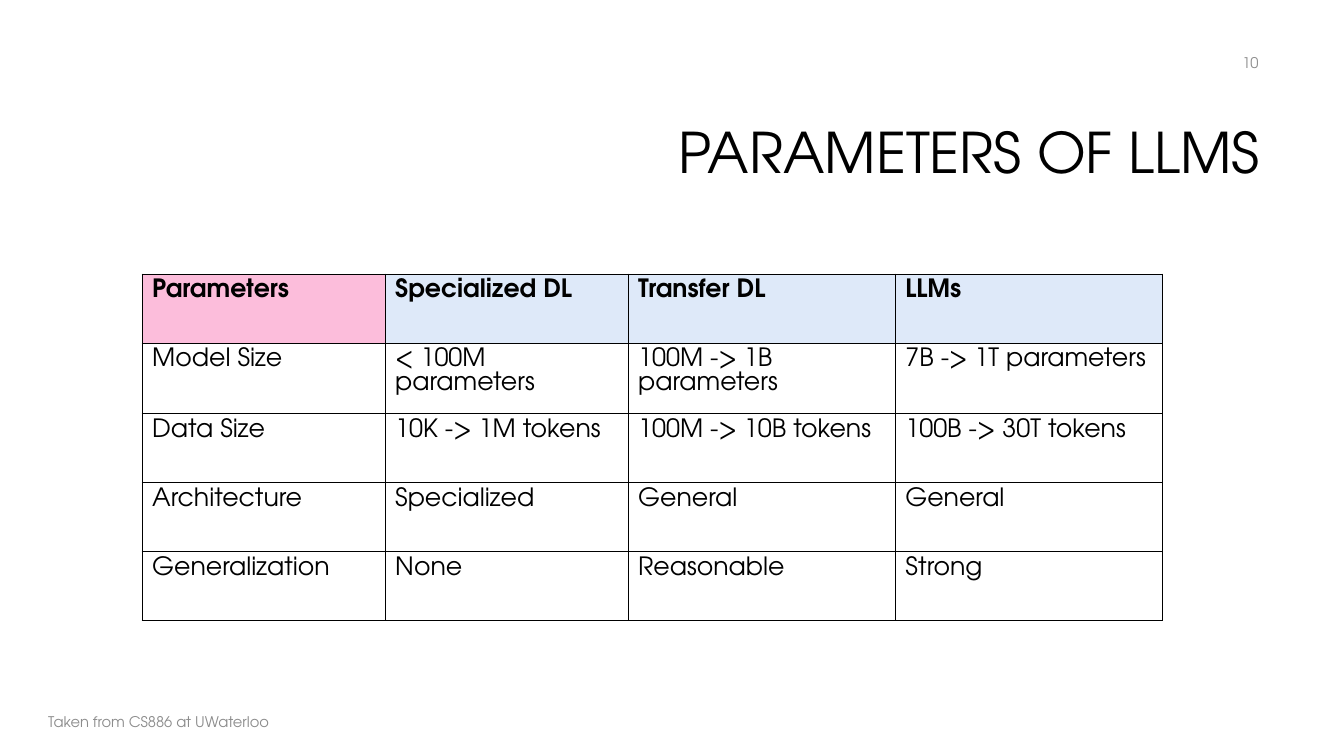
"""Build the slide comparing parameters of LLMs with earlier deep learning."""
from lxml.etree import SubElement
from pptx import Presentation
from pptx.dml.color import RGBColor
from pptx.enum.text import MSO_ANCHOR, PP_ALIGN
from pptx.oxml.ns import qn
from pptx.util import Inches, Pt

FONT = "TeX Gyre Adventor"
COLORS = {"text": "000000", "muted": "8C8C8C", "corner": "FCBDDB",
          "header": "DEE9F9", "body": "FFFFFF", "border": "000000"}
TEXTS = [
    ("PARAMETERS OF LLMS", (3.17, 0.84, 9.42, 1.41), 40, "text", PP_ALIGN.RIGHT, 0.9),
    ("10", (9.58, 0.42, 3, 0.4), 10.5, "muted", PP_ALIGN.RIGHT, 1.0),
    ("Taken from CS886 at UWaterloo", (0.38, 6.96, 4.5, 0.4), 10.5, "muted", PP_ALIGN.LEFT, 1.0),
]
ROWS = [
    ("Parameters", "Specialized DL", "Transfer DL", "LLMs"),
    ("Model Size", "< 100M parameters", "100M -> 1B parameters", "7B -> 1T parameters"),
    ("Data Size", "10K -> 1M tokens", "100M -> 10B tokens", "100B -> 30T tokens"),
    ("Architecture", "Specialized", "General", "General"),
    ("Generalization", "None", "Reasonable", "Strong"),
]
COLUMN_WIDTHS = (2.41, 2.41, 2.65, 2.65)
TABLE_LEFT, TABLE_TOP, TABLE_HEIGHT = 1.41, 2.72, 3.42


def style_text(paragraph, size, color, bold=False):
    font = paragraph.runs[0].font
    font.name = FONT
    font.size = Pt(size)
    font.bold = bold
    font.color.rgb = RGBColor.from_string(COLORS[color])


def add_text(slide, text, box, size, color, alignment, spacing):
    text_frame = slide.shapes.add_textbox(*map(Inches, box)).text_frame
    text_frame.word_wrap = True
    text_frame.vertical_anchor = MSO_ANCHOR.MIDDLE
    text_frame.text = text
    paragraph = text_frame.paragraphs[0]
    paragraph.alignment = alignment
    paragraph.line_spacing = spacing
    style_text(paragraph, size, color)


def add_borders(cell):
    properties = cell._tc.get_or_add_tcPr()
    for side in ("lnL", "lnR", "lnT", "lnB"):
        line = SubElement(properties, qn(f"a:{side}"), w=str(Pt(1)))
        fill = SubElement(line, qn("a:solidFill"))
        SubElement(fill, qn("a:srgbClr"), val=COLORS["border"])


def fill_color(row, column):
    if row:
        return COLORS["body"]
    return COLORS["header"] if column else COLORS["corner"]


def add_comparison(slide):
    table = slide.shapes.add_table(
        len(ROWS), len(COLUMN_WIDTHS), Inches(TABLE_LEFT), Inches(TABLE_TOP),
        Inches(sum(COLUMN_WIDTHS)), Inches(TABLE_HEIGHT)).table
    for column, width in zip(table.columns, COLUMN_WIDTHS):
        column.width = Inches(width)
    for row, texts in enumerate(ROWS):
        for column, text in enumerate(texts):
            cell = table.cell(row, column)
            add_borders(cell)
            cell.fill.solid()
            cell.fill.fore_color.rgb = RGBColor.from_string(fill_color(row, column))
            cell.text_frame.text = text
            style_text(cell.text_frame.paragraphs[0], 18, "text", bold=row == 0)


def main():
    presentation = Presentation()
    presentation.slide_width = Inches(13.33)
    presentation.slide_height = Inches(7.5)
    slide = presentation.slides.add_slide(presentation.slide_layouts[6])
    for entry in TEXTS:
        add_text(slide, *entry)
    add_comparison(slide)
    presentation.save("out.pptx")


if __name__ == "__main__":
    main()
